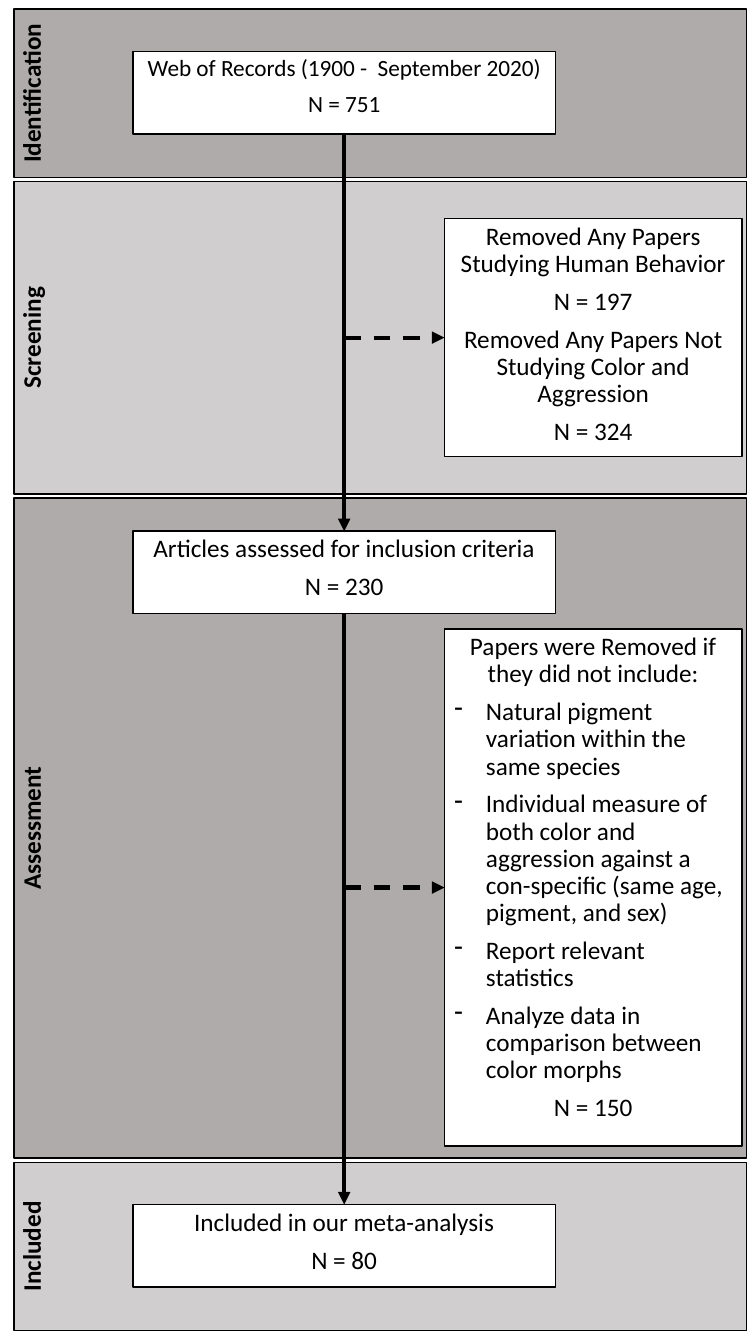
import lxml.etree
import pptx
import pptx.dml.color
import pptx.enum.dml
import pptx.enum.shapes
import pptx.enum.text
import pptx.oxml.ns
import pptx.util

Pt = pptx.util.Pt
HUES = {"dark": "AFABAB", "light": "D0CECE", "box": "FFFFFF", "ink": "000000"}
BANDS = [
    ("Identification", 120.2, "dark"),
    ("Screening", 223.2, "light"),
    ("Assessment", 471.6, "dark"),
    ("Included", 120.2, "light"),
]
LEFT, TOP, WIDE, GAP = 10, 6.5, 523.4, 2.9
TAB = 59
STEPS = [
    (36.7, 16.6, ["Web of Records (1900 -  September 2020)", "N = 751"]),
    (379.4, 18, ["Articles assessed for inclusion criteria", "N = 230"]),
    (860.4, 18, ["Included in our meta-analysis", "N = 80"]),
]
CUTS = [
    (156.2, 170, [
        "Removed Any Papers Studying Human Behavior",
        "N = 197",
        "Removed Any Papers Not Studying Color and Aggression",
        "N = 324",
    ]),
    (449.3, 369.4, [
        "Papers were Removed if they did not include:",
        "- Natural pigment variation within the same species",
        "- Individual measure of both color and aggression against a "
        "con-specific (same age, pigment, and sex)",
        "- Report relevant statistics",
        "- Analyze data in comparison between color morphs",
        "N = 150",
    ]),
]


def tint(name):
    return pptx.dml.color.RGBColor.from_string(HUES[name])


def add(parent, tag, **attrs):
    return lxml.etree.SubElement(parent, pptx.oxml.ns.qn(tag), **attrs)


def write(frame, lines, size=18, bold=False):
    frame.word_wrap = True
    frame.vertical_anchor = pptx.enum.text.MSO_ANCHOR.TOP
    for spot, line in enumerate(lines):
        para = frame.paragraphs[0] if spot == 0 else frame.add_paragraph()
        item = line.startswith("- ")
        align = pptx.enum.text.PP_ALIGN
        para.alignment = align.LEFT if item else align.CENTER
        para.line_spacing = 0.9
        para.space_before = Pt(7.5)
        if item:
            props = para._p.get_or_add_pPr()
            props.set("marL", str(Pt(22.5)))
            props.set("indent", str(Pt(-22.5)))
            add(props, "a:buChar", char="-")
        run = para.add_run()
        run.text = line[2:] if item else line
        run.font.name = "Calibri"
        run.font.size = Pt(size)
        run.font.bold = bold
        run.font.color.rgb = tint("ink")


class Chart:
    def __init__(self, slide, thin=1, thick=3):
        self.slide = slide
        self.thin = thin
        self.thick = thick

    def box(self, left, top, wide, high, fill, lines=(), size=18):
        kind = pptx.enum.shapes.MSO_SHAPE.RECTANGLE
        shape = self.slide.shapes.add_shape(
            kind, Pt(left), Pt(top), Pt(wide), Pt(high))
        shape.shadow.inherit = False
        shape.fill.solid()
        shape.fill.fore_color.rgb = tint(fill)
        shape.line.color.rgb = tint("ink")
        shape.line.width = Pt(self.thin)
        write(shape.text_frame, lines, size)
        return shape

    def label(self, left, top, high, text):
        side = left + TAB / 2 - high / 2
        head = top + high / 2 - TAB / 2
        shape = self.slide.shapes.add_textbox(
            Pt(side), Pt(head), Pt(high), Pt(TAB))
        shape.rotation = 270
        write(shape.text_frame, [text], bold=True)

    def arrow(self, start, end, joins, dash=False):
        kind = pptx.enum.shapes.MSO_CONNECTOR.STRAIGHT
        line = self.slide.shapes.add_connector(kind, *start, *end)
        first, last = joins
        if first:
            line.begin_connect(*first)
        line.end_connect(*last)
        line.line.color.rgb = tint("ink")
        line.line.width = Pt(self.thick)
        if dash:
            line.line.dash_style = pptx.enum.dml.MSO_LINE.DASH
        add(line.line._get_or_add_ln(), "a:tailEnd", type="triangle")
        add(line._element.spPr, "a:effectLst")


def main():
    deck = pptx.Presentation()
    deck.slide_width, deck.slide_height = Pt(540), Pt(960)
    chart = Chart(deck.slides.add_slide(deck.slide_layouts[6]))

    top = TOP
    for name, high, fill in BANDS:
        chart.box(LEFT, top, WIDE, high, fill)
        chart.label(LEFT, top, high, name)
        top += high + GAP

    steps = [chart.box(95, top, 301.7, 59, "box", lines, size)
             for top, size, lines in STEPS]
    cuts = [chart.box(317.5, top, 212.4, high, "box", lines)
            for top, high, lines in CUTS]

    mid = steps[0].left + steps[0].width // 2
    for above, below, cut in zip(steps, steps[1:], cuts):
        chart.arrow((mid, above.top + above.height), (mid, below.top),
                    ((above, 2), (below, 0)))
        level = cut.top + cut.height // 2
        chart.arrow((mid, level), (cut.left, level),
                    (None, (cut, 1)), dash=True)

    deck.save("out.pptx")


if __name__ == "__main__":
    main()
